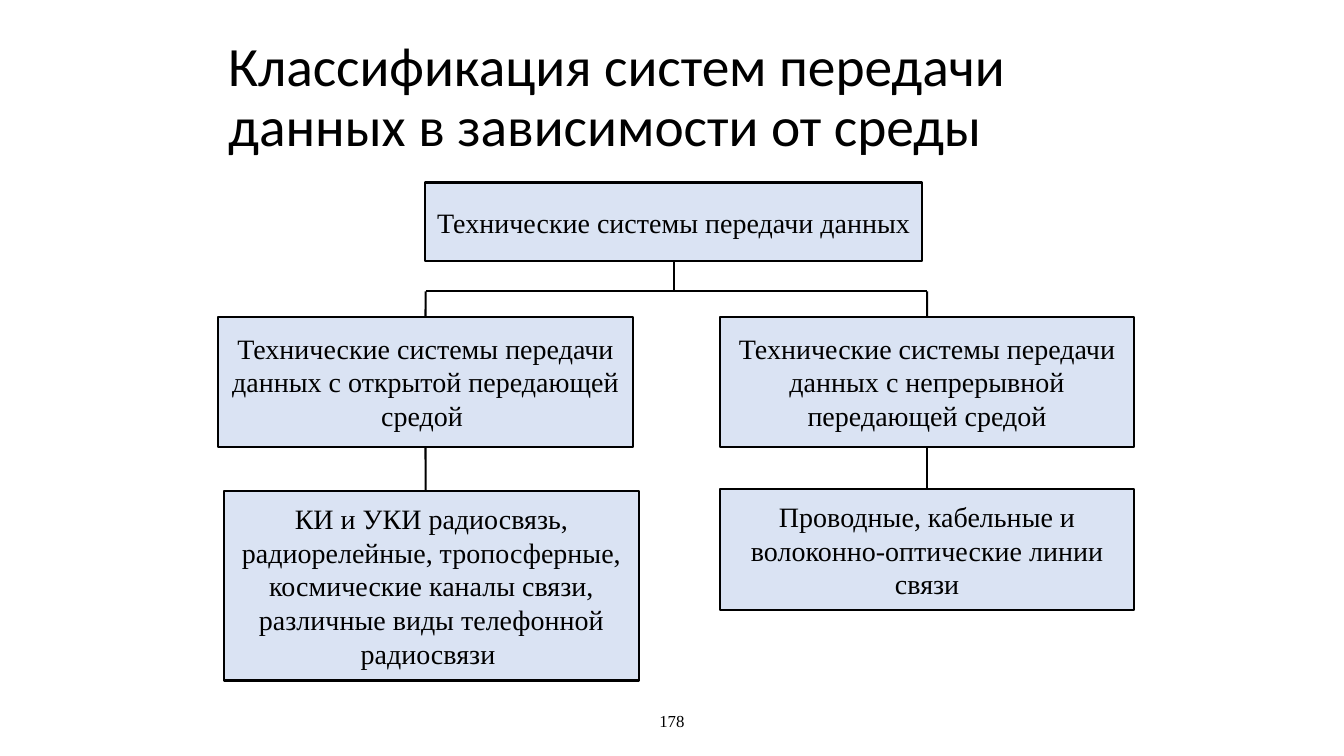
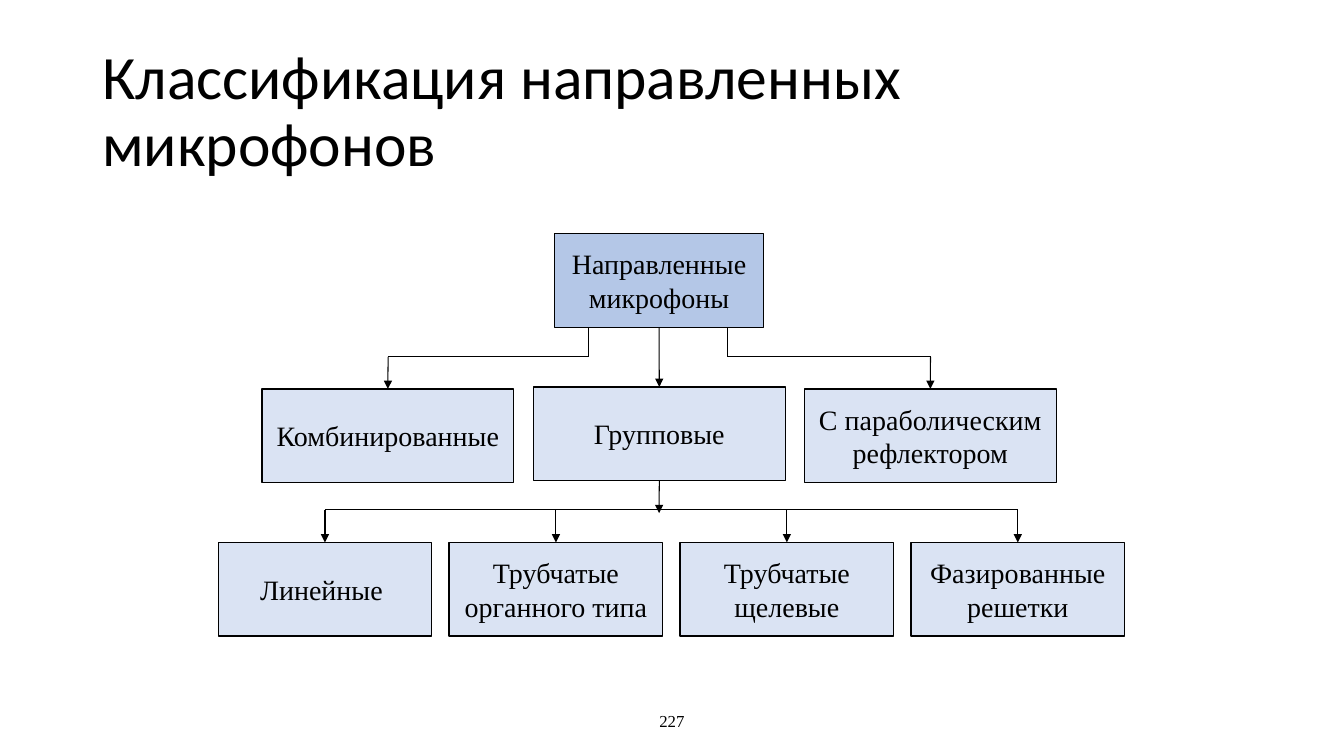
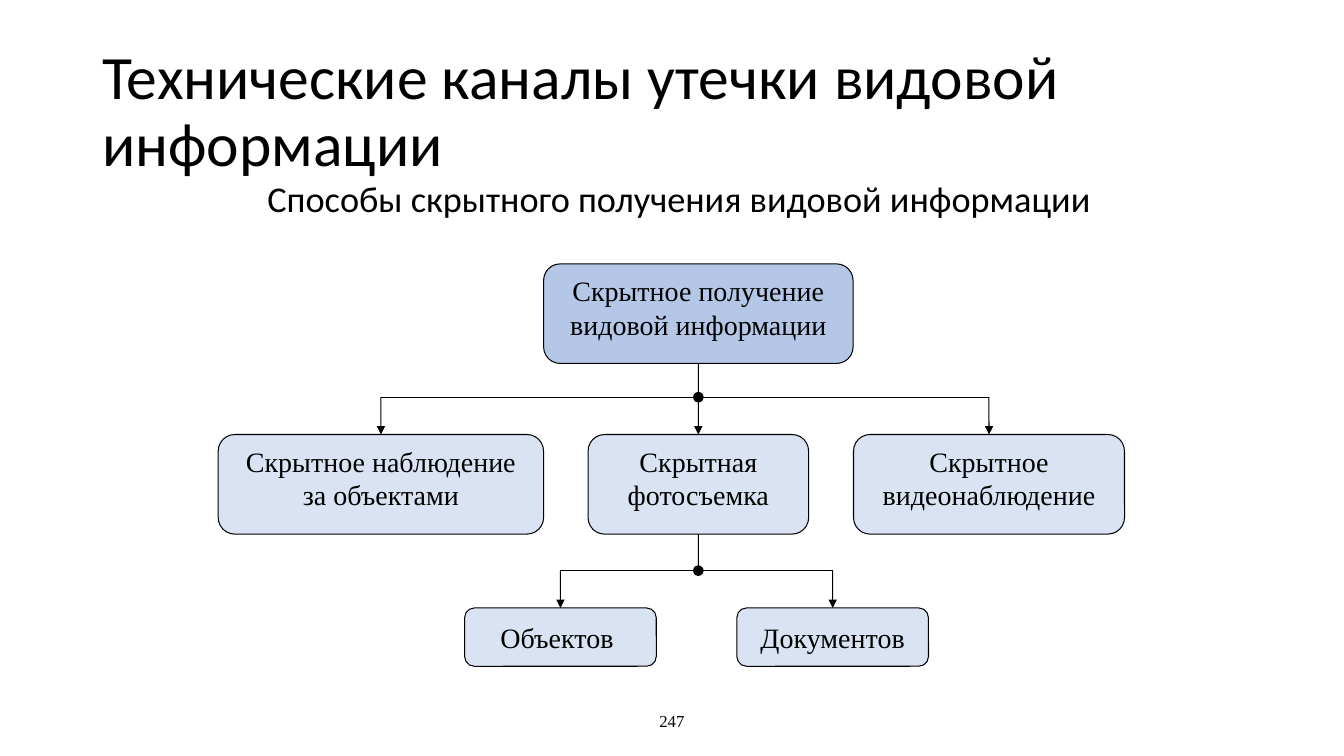
from dataclasses import dataclass
from typing import Optional

from lxml import etree
from pptx import Presentation
from pptx import util as u
from pptx.dml.color import RGBColor
from pptx.enum import shapes, text
from pptx.oxml.ns import qn

INK = "000000"
ROOT_FILL = "B4C7E7"
BRANCH_FILL = "DAE3F3"
TITLE_FONT = "Calibri"
BODY_FONT = "Times New Roman"
TOP, BOTTOM = 0, 2
RECT = shapes.MSO_SHAPE.RECTANGLE
ROUNDED = shapes.MSO_SHAPE.ROUNDED_RECTANGLE
OVAL = shapes.MSO_SHAPE.OVAL
MIDDLE = text.MSO_ANCHOR.MIDDLE
UPPER = text.MSO_ANCHOR.TOP
CENTER = text.PP_ALIGN.CENTER
LEFT = text.PP_ALIGN.LEFT


@dataclass
class Area:
    left: float
    top: float
    width: float
    height: float

    def lengths(self) -> tuple:
        return tuple(u.Cm(v) for v in (self.left, self.top, self.width, self.height))


@dataclass
class Node:
    key: str
    label: str
    area: Area
    fill: str = BRANCH_FILL
    anchor: text.MSO_ANCHOR = MIDDLE


@dataclass
class Link:
    x1: float
    y1: float
    x2: float
    y2: float
    parent: Optional[str] = None
    child: Optional[str] = None
    arrow: bool = False


@dataclass
class Diagram:
    title: str
    number: str
    nodes: list
    links: list
    dots: tuple = ()
    outline: shapes.MSO_SHAPE = RECT
    border: float = 0.75
    stroke: float = 0.75
    title_area: Area = None
    title_size: float = 44
    subtitle: str = ""


def color(value: str) -> RGBColor:
    return RGBColor.from_string(value)


def write(shape, content: str, *, size: float, font: str = BODY_FONT,
          align=CENTER, anchor=MIDDLE, spacing: float = 1.0,
          before: float = 0, indent: float = 0) -> None:
    frame = shape.text_frame
    frame.word_wrap = True
    frame.vertical_anchor = anchor
    frame.margin_left = u.Cm(0.25 + indent)
    paragraph = frame.paragraphs[0]
    paragraph.alignment = align
    paragraph.line_spacing = spacing
    paragraph.space_before = u.Pt(before)
    run = paragraph.add_run()
    run.text = content
    run.font.size = u.Pt(size)
    run.font.name = font
    run.font.color.rgb = color(INK)


def add_text(slide, area: Area, content: str, **style) -> None:
    write(slide.shapes.add_textbox(*area.lengths()), content, **style)


def add_figure(slide, outline, area: Area, fill: str, border: float):
    figure = slide.shapes.add_shape(outline, *area.lengths())
    figure.shadow.inherit = False
    figure.fill.solid()
    figure.fill.fore_color.rgb = color(fill)
    figure.line.color.rgb = color(INK)
    figure.line.width = u.Pt(border)
    return figure


def add_link(slide, link: Link, boxes: dict, stroke: float) -> None:
    line = slide.shapes.add_connector(
        shapes.MSO_CONNECTOR.STRAIGHT,
        *(u.Cm(v) for v in (link.x1, link.y1, link.x2, link.y2)))
    if link.parent:
        line.begin_connect(boxes[link.parent], BOTTOM)
    if link.child:
        line.end_connect(boxes[link.child], TOP)
    line.line.color.rgb = color(INK)
    line.line.width = u.Pt(stroke)
    if link.arrow:
        etree.SubElement(line.line._get_or_add_ln(), qn("a:tailEnd"), type="triangle")
    etree.SubElement(line._element.spPr, qn("a:effectLst"))


def draw(deck, diagram: Diagram) -> None:
    slide = deck.slides.add_slide(deck.slide_layouts[6])
    add_text(slide, diagram.title_area or Area(2.33, 1.01, 29.21, 3.68), diagram.title,
             size=diagram.title_size, font=TITLE_FONT, align=LEFT, spacing=0.9)
    if diagram.subtitle:
        add_text(slide, Area(5.5, 4.45, 22.86, 1.83), diagram.subtitle, size=25.9,
                 font=TITLE_FONT, anchor=UPPER, spacing=0.9, before=10, indent=0.38)
    add_text(slide, Area(11.22, 17.65, 11.43, 1.02), diagram.number, size=12)
    boxes = {}
    for node in diagram.nodes:
        boxes[node.key] = add_figure(slide, diagram.outline, node.area, node.fill, diagram.border)
        write(boxes[node.key], node.label, size=20, anchor=node.anchor)
    for link in diagram.links:
        add_link(slide, link, boxes, diagram.stroke)
    for x, y in diagram.dots:
        add_figure(slide, OVAL, Area(x - 0.12, y - 0.12, 0.24, 0.24), INK, 0.75)


def transmission() -> Diagram:
    left, right, width = 5.5, 18.14, 10.45
    left_axis, right_axis = left + width / 2, right + width / 2
    bus = 7.34
    return Diagram(
        "Классификация систем передачи данных в зависимости от среды", "178",
        [
            Node("systems", "Технические системы передачи данных ", Area(10.72, 4.6, 12.52, 1.98)),
            Node("open", "Технические системы передачи данных с открытой передающей средой ",
                 Area(left, 7.98, width, 3.28)),
            Node("continuous", "Технические системы передачи данных с непрерывной передающей средой",
                 Area(right, 7.98, width, 3.28)),
            Node("radio", "КИ и УКИ радиосвязь, радиорелейные, тропосферные, космические каналы "
                 "связи, различные виды телефонной радиосвязи ", Area(5.65, 12.37, width, 4.78)),
            Node("cable", "Проводные, кабельные и волоконно-оптические линии связи",
                 Area(right, 12.33, width, 3.05)),
        ],
        [
            Link(left_axis, bus, right_axis, bus),
            Link(16.98, 6.58, 16.98, bus, parent="systems"),
            Link(left_axis, bus, left_axis, 7.98, child="open"),
            Link(right_axis, bus, right_axis, 7.98, child="continuous"),
            Link(left_axis, 11.26, left_axis, 12.37, parent="open"),
            Link(right_axis, 11.26, right_axis, 12.33, parent="continuous", child="cable"),
        ],
        border=1.5, stroke=1.5, title_area=Area(5.5, 0.9, 22.86, 3.18), title_size=39.6)


def microphones() -> Diagram:
    axis, height = 16.61, 2.36
    upper_bus, lower_bus = 8.99, 12.85
    kinds = ["Линейные ", "Трубчатые органного типа", "Трубчатые щелевые", "Фазированные решетки"]
    width, step, row = 5.38, 5.82, 13.67
    lefts = [5.5 + step * i for i in range(len(kinds))]
    axes = [x + width / 2 for x in lefts]
    return Diagram(
        "Классификация направленных микрофонов", "227",
        [
            Node("directional", "Направленные микрофоны", Area(13.98, 5.89, 5.26, height), ROOT_FILL),
            Node("group", "Групповые", Area(13.44, 9.75, 6.35, height)),
            Node("combined", "Комбинированные", Area(6.6, 9.8, 6.35, height)),
            Node("parabolic", "С параболическим рефлектором", Area(20.27, 9.8, 6.35, height)),
            *(Node(kind, kind, Area(x, row, width, height)) for kind, x in zip(kinds, lefts)),
        ],
        [
            Link(axis, 8.25, axis, 9.75, "directional", "group", True),
            Link(14.83, 8.25, 14.83, upper_bus),
            Link(18.34, 8.25, 18.34, upper_bus),
            Link(9.78, upper_bus, 14.83, upper_bus),
            Link(18.34, upper_bus, 23.45, upper_bus),
            Link(9.78, upper_bus, 9.78, 9.8, child="combined", arrow=True),
            Link(23.45, upper_bus, 23.45, 9.8, child="parabolic", arrow=True),
            Link(axis, 12.11, axis, 12.93, parent="group", arrow=True),
            Link(axes[0], lower_bus, axes[-1], lower_bus),
            *(Link(x, lower_bus, x, row, child=kind, arrow=True) for kind, x in zip(kinds, axes)),
        ],
        border=1)


def visual_channels() -> Diagram:
    axis, height = 17.6, 2.51
    upper_bus, lower_bus = 10.01, 14.38
    middle_row, lower_row = 10.95, 15.32
    return Diagram(
        "Технические каналы утечки видовой информации", "247",
        [
            Node("covert", "Скрытное получение видовой информации",
                 Area(13.7, 6.65, 7.8, height), ROOT_FILL, UPPER),
            Node("watching", "Скрытное наблюдение за объектами",
                 Area(5.5, middle_row, 8.2, height), anchor=UPPER),
            Node("photo", "Скрытная фотосъемка",
                 Area(14.82, middle_row, 5.56, height), anchor=UPPER),
            Node("video", "Скрытное видеонаблюдение",
                 Area(21.51, middle_row, 6.83, height), anchor=UPPER),
            Node("objects", "Объектов ", Area(11.71, lower_row, 4.83, 1.47)),
            Node("documents", "Документов", Area(18.57, lower_row, 4.83, 1.47)),
        ],
        [
            Link(9.6, upper_bus, 24.92, upper_bus),
            Link(axis, 9.16, axis, middle_row, "covert", "photo", True),
            Link(9.6, upper_bus, 9.6, middle_row, child="watching", arrow=True),
            Link(24.92, upper_bus, 24.92, middle_row, child="video", arrow=True),
            Link(axis, 13.46, axis, lower_bus, parent="photo"),
            Link(14.12, lower_bus, 20.98, lower_bus),
            Link(14.12, lower_bus, 14.12, lower_row, child="objects", arrow=True),
            Link(20.98, lower_bus, 20.98, lower_row, child="documents", arrow=True),
        ],
        dots=((axis, upper_bus), (axis, lower_bus)), outline=ROUNDED,
        subtitle="Способы скрытного получения видовой информации")


def main() -> None:
    deck = Presentation()
    deck.slide_width, deck.slide_height = u.Cm(33.87), u.Cm(19.05)
    for diagram in (transmission(), microphones(), visual_channels()):
        draw(deck, diagram)
    deck.save("out.pptx")


if __name__ == "__main__":
    main()
